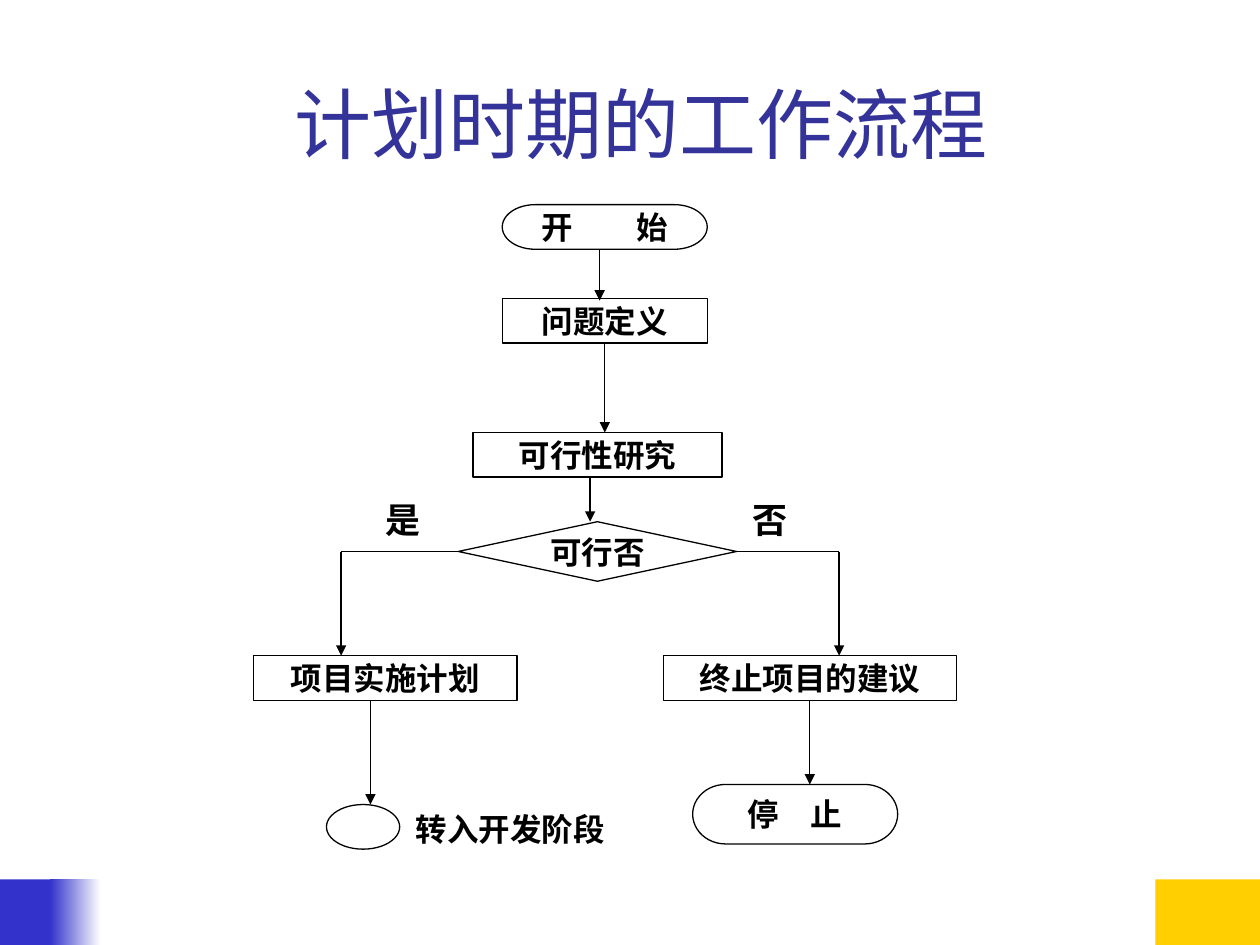
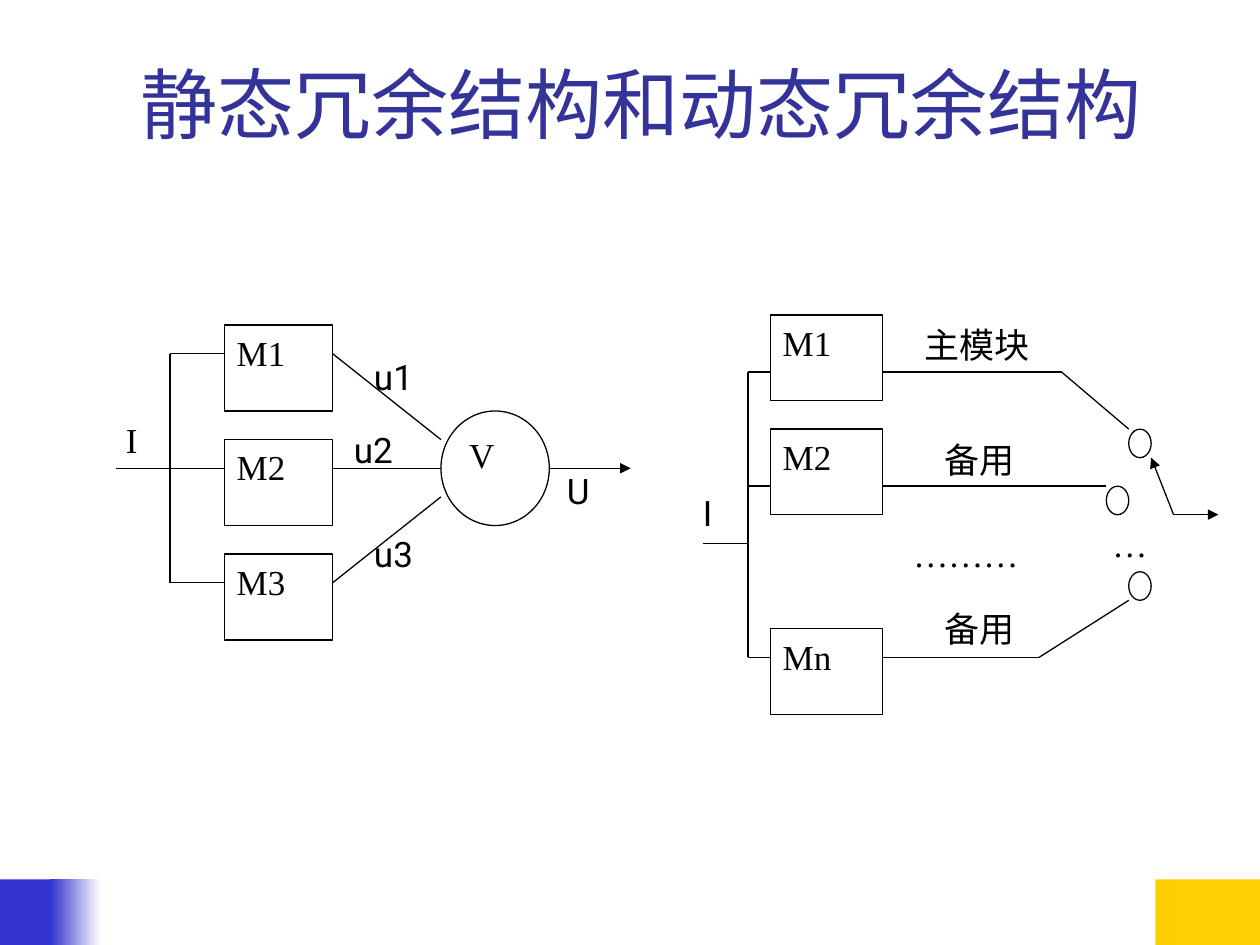
"""Builds two slides: a planning-phase flowchart and two redundancy structures."""
from dataclasses import dataclass
from typing import NamedTuple

from lxml import etree
from pptx import Presentation, util as u
from pptx.dml.color import RGBColor
from pptx.enum import shapes, text
from pptx.oxml.ns import qn

Kind = shapes.MSO_SHAPE
Align = text.PP_ALIGN
Anchor = text.MSO_ANCHOR
WIDTH, HEIGHT = 10, 7.5
BLACK, WHITE, BLUE, GOLD, INDIGO = "000000", "FFFFFF", "3333CC", "FFCF01", "333399"
SERIF, SANS, TITLE_FONT = "Times New Roman", "Roboto", "Lato"


@dataclass(frozen=True)
class Grid:
    """An area of the slide, in inches, split into equal columns and rows."""
    left: float
    top: float
    width: float
    height: float
    columns: int
    rows: int

    def x(self, column: float) -> int:
        return u.Inches(self.left + column * self.width / self.columns)

    def y(self, row: float) -> int:
        return u.Inches(self.top + row * self.height / self.rows)

    def frame(self, column: float, row: float, columns: float, rows: float) -> tuple:
        left, top = self.x(column), self.y(row)
        return left, top, self.x(column + columns) - left, self.y(row + rows) - top


class Style(NamedTuple):
    """The look of a piece of text."""
    size: float
    font: str = SERIF
    bold: bool = False
    align: Align = Align.LEFT
    anchor: Anchor = Anchor.TOP
    color: str = BLACK


class Node(NamedTuple):
    """An outlined shape on a grid; gap is the space in points after its first letter."""
    kind: Kind
    column: float
    row: float
    columns: float
    rows: float
    words: str = ""
    gap: float = 0


class Link(NamedTuple):
    """A straight line between two grid points."""
    column: float
    row: float
    end_column: float
    end_row: float
    arrow: bool = False


class Label(NamedTuple):
    """Free text on the page grid."""
    words: str
    column: float
    row: float
    columns: float
    style: Style


PAGE = Grid(0, 0, WIDTH, HEIGHT, 100, 75)
FLOW = Grid(2.01, 1.66, 5.58, 5.08, 48, 43)
STATIC = Grid(0.92, 2.58, 4.3, 2.5, 10, 11)
DYNAMIC = Grid(5.58, 2.5, 4.09, 3.17, 23, 14)

TITLE = Style(44, TITLE_FONT, align=Align.CENTER, anchor=Anchor.BOTTOM, color=INDIGO)
STEP = Style(18, bold=True, align=Align.CENTER, anchor=Anchor.MIDDLE)
NOTE = Style(18, bold=True)
BRANCH = Style(20, bold=True)
MODULE = Style(20)
SIGNAL = Style(20, SANS)

FLOW_NODES = [
    Node(Kind.FLOWCHART_TERMINATOR, 17, -0.3, 14, 3, "开始", 36),
    Node(Kind.FLOWCHART_PROCESS, 17, 6, 14, 3, "问题定义"),
    Node(Kind.FLOWCHART_PROCESS, 15, 15, 17, 3, "可行性研究"),
    Node(Kind.FLOWCHART_DECISION, 14, 21, 19, 4, "可行否"),
    Node(Kind.FLOWCHART_PROCESS, 0, 30, 18, 3, "项目实施计划"),
    Node(Kind.FLOWCHART_PROCESS, 28, 30, 20, 3, "终止项目的建议"),
    Node(Kind.OVAL, 5, 40, 5, 3),
    Node(Kind.FLOWCHART_TERMINATOR, 30, 38.65, 14, 4, "停止", 18),
]
FLOW_LINKS = [
    Link(23.65, 2.7, 23.65, 6.15, True),
    Link(24, 9, 24, 15, True),
    Link(23, 18, 23, 21, True),
    Link(14, 23, 6, 23),
    Link(33, 23, 40, 23),
    Link(6, 23, 6, 30, True),
    Link(40, 23, 40, 30, True),
    Link(8, 33, 8, 40, True),
    Link(38, 33, 38, 38.65, True),
]
FLOW_LABELS = [
    Label("转入开发阶段", 32, 63.8, 17, NOTE),
    Label("否", 58.7, 39.1, 4.8, BRANCH),
    Label("是", 29.6, 39.1, 4.8, BRANCH),
]

STATIC_NODES = [Node(Kind.RECTANGLE, 2, 4 * index, 2, 3, f"M{index + 1}") for index in range(3)]
STATIC_NODES.append(Node(Kind.OVAL, 6, 3, 2, 4, "V"))
STATIC_LINKS = [
    Link(1, 1, 1, 9),
    Link(1, 1, 2, 1),
    Link(0, 5, 2, 5),
    Link(1, 9, 2, 9),
    *(Link(4, 1 + 4 * index, 6, 4 + index) for index in range(3)),
    Link(8, 5, 9.5, 5, True),
]

DYNAMIC_NODES = [
    *(Node(Kind.RECTANGLE, 3, row, 5, 3, words)
      for row, words in ((0, "M1"), (4, "M2"), (11, "Mn"))),
    *(Node(Kind.OVAL, column, row, 1, 1) for column, row in ((19, 4), (18, 6), (19, 9))),
]
DYNAMIC_LINKS = [
    Link(2, 2, 2, 12),
    Link(0, 8, 2, 8),
    *(Link(2, row, 3, row) for row in (2, 6, 12)),
    Link(8, 2, 16, 2),
    Link(16, 2, 19, 4),
    Link(8, 6, 18, 6),
    Link(8, 12, 15, 12),
    Link(15, 12, 19, 10),
    Link(21, 7, 23, 7, True),
    Link(21, 7, 20, 5, True),
]
REDUNDANCY_LABELS = [
    Label("I", 9, 32.7, 3.6, MODULE),
    Label("U", 44, 36.8, 4.7, SIGNAL),
    Label("u1", 28.7, 27.7, 6, SIGNAL),
    Label("u2", 27.1, 33.5, 6, SIGNAL),
    Label("u3", 28.7, 41.8, 6, SIGNAL),
    Label("I", 54.8, 38.5, 3.6, SIGNAL),
    Label("主模块", 72.4, 25.2, 10.9, SIGNAL),
    Label("备用", 74, 34.3, 8.2, SIGNAL),
    Label("备用", 74, 47.7, 8.2, SIGNAL),
    Label("………", 71.5, 41.8, 12, MODULE),
    Label("…", 87.3, 41, 4.8, MODULE),
]


def rgb(color: str) -> RGBColor:
    return RGBColor.from_string(color)


def write(frame, words: str, style: Style, gap: float = 0) -> None:
    frame.vertical_anchor = style.anchor
    para = frame.paragraphs[0]
    para.alignment = style.align
    for part in (words[:1], words[1:]) if gap else (words,):
        span = para.add_run()
        span.text = part
        span.font.size = u.Pt(style.size)
        span.font.name = style.font
        span.font.bold = style.bold
        span.font.color.rgb = rgb(style.color)
    if gap:
        para.runs[0].font._element.set("spc", str(round(gap * 100)))


def add_node(page, grid: Grid, node: Node, style: Style) -> None:
    box = page.shapes.add_shape(
        node.kind, *grid.frame(node.column, node.row, node.columns, node.rows))
    box.shadow.inherit = False
    box.fill.solid()
    box.fill.fore_color.rgb = rgb(WHITE)
    box.line.color.rgb = rgb(BLACK)
    box.line.width = u.Pt(0.75)
    if node.words:
        box.text_frame.word_wrap = True
        write(box.text_frame, node.words, style, node.gap)


def add_link(page, grid: Grid, link: Link) -> None:
    line = page.shapes.add_connector(
        shapes.MSO_CONNECTOR.STRAIGHT, grid.x(link.column), grid.y(link.row),
        grid.x(link.end_column), grid.y(link.end_row))
    line.line.color.rgb = rgb(BLACK)
    line.line.width = u.Pt(0.75)
    properties = line.element.spPr
    if link.arrow:
        etree.SubElement(properties.find(qn("a:ln")), qn("a:tailEnd"), type="triangle")
    etree.SubElement(properties, qn("a:effectLst"))


def add_label(page, label: Label) -> None:
    rows = 4 if label.style.size < 20 else 4.4
    box = page.shapes.add_textbox(*PAGE.frame(label.column, label.row, label.columns, rows))
    box.text_frame.word_wrap = False
    box.text_frame.auto_size = text.MSO_AUTO_SIZE.NONE
    write(box.text_frame, label.words, label.style)


def add_diagram(page, grid: Grid, nodes: list[Node], links: list[Link], style: Style) -> None:
    for node in nodes:
        add_node(page, grid, node, style)
    for link in links:
        add_link(page, grid, link)


def add_page(deck, words: str, row: float, rows: float):
    page = deck.slides.add_slide(deck.slide_layouts[5])
    title = page.shapes.title
    title.left, title.top, title.width, title.height = PAGE.frame(8.3, row, 85.2, rows)
    title.text_frame.auto_size = text.MSO_AUTO_SIZE.NONE
    write(title.text_frame, words, TITLE)
    return page


def add_bands(page) -> None:
    """Places the corner bands on the layout, so that every page shows them."""
    for column, columns, color, fades in (
            (91.7, 8.3, GOLD, False), (0, 4.6, BLUE, False), (4, 4, BLUE, True)):
        band = page.shapes.add_shape(Kind.RECTANGLE, *PAGE.frame(column, 69.8, columns, 5.2))
        band.shadow.inherit = False
        band.line.fill.background()
        if fades:
            band.fill.gradient()
            band.fill.gradient_angle = 180
            for stop, shade in zip(band.fill.gradient_stops, (WHITE, color)):
                stop.color.rgb = rgb(shade)
        else:
            band.fill.solid()
            band.fill.fore_color.rgb = rgb(color)
        page.slide_layout.shapes.element.append(band.element)


def main() -> None:
    deck = Presentation()
    deck.slide_width, deck.slide_height = u.Inches(WIDTH), u.Inches(HEIGHT)

    flow_page = add_page(deck, "计划时期的工作流程", 2.1, 11.8)
    add_bands(flow_page)
    add_diagram(flow_page, FLOW, FLOW_NODES, FLOW_LINKS, STEP)
    for label in FLOW_LABELS:
        add_label(flow_page, label)

    redundancy_page = add_page(deck, "静态冗余结构和动态冗余结构", 2.8, 9.5)
    add_diagram(redundancy_page, STATIC, STATIC_NODES, STATIC_LINKS, MODULE)
    add_diagram(redundancy_page, DYNAMIC, DYNAMIC_NODES, DYNAMIC_LINKS, MODULE)
    for label in REDUNDANCY_LABELS:
        add_label(redundancy_page, label)

    deck.save("out.pptx")


if __name__ == "__main__":
    main()
